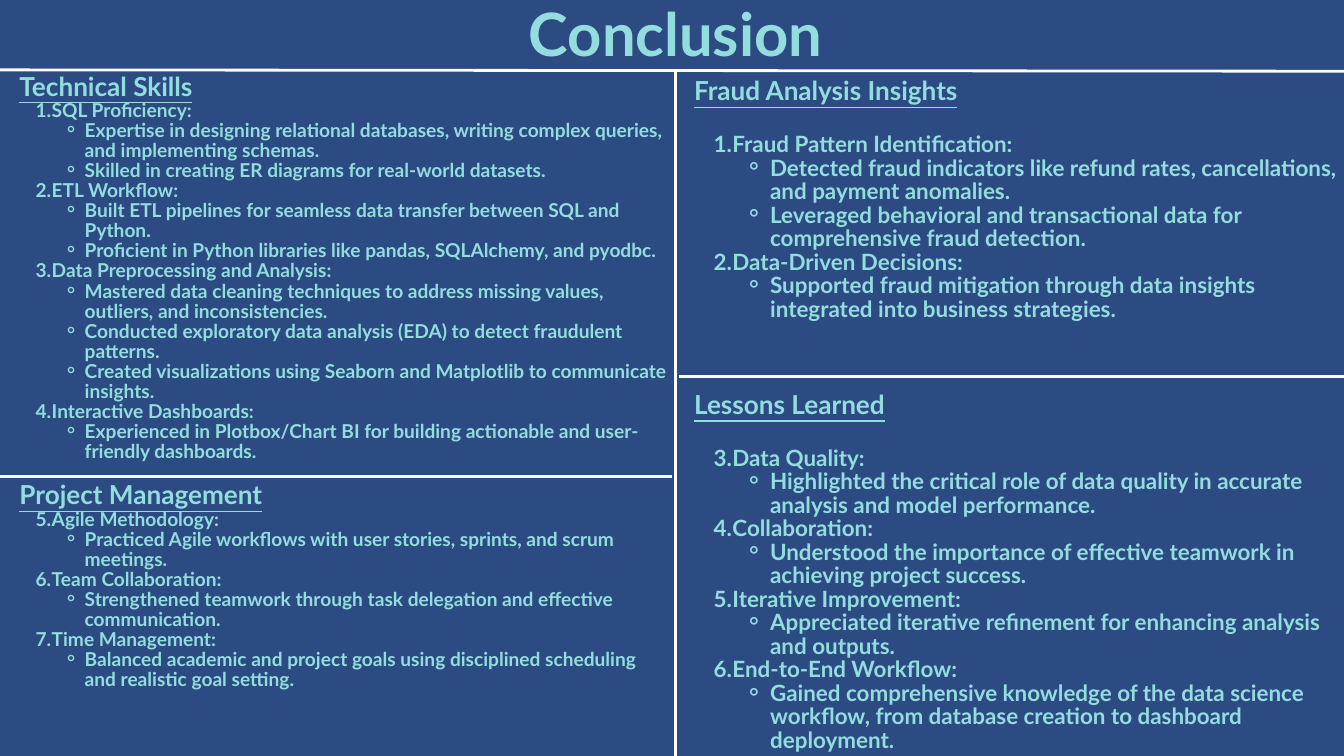
"""Build the Conclusion slide: two columns of numbered takeaways split by rules."""
from lxml.etree import SubElement
from pptx import Presentation
from pptx.dml.color import RGBColor
from pptx.enum.shapes import MSO_CONNECTOR
from pptx.enum.text import MSO_AUTO_SIZE, PP_ALIGN
from pptx.oxml.ns import qn
from pptx.util import Inches, Pt

THEME = {
    "bg": RGBColor(0x2B, 0x4B, 0x82),
    "text": RGBColor(0x94, 0xDD, 0xDE),
    "rule": RGBColor(0xFF, 0xFF, 0xFF),
    "font": "Lato",
    "title": (64, 67.2),
    "heading": (28, 29.4),
    "left": (20.5, 21.5),
    "right": (24, 25.2),
    "rule_width": 3,
}

TITLE = "Conclusion"

COLUMNS = [
    {
        "box": (0.29, 1.1, 9.71, 9.57), "body": "left",
        "number_indent": (0.48, -0.24), "bullet_indent": (0.97, -0.32),
        "section_gap": 21.5, "heading_gap": 0,
        "sections": [
            ("Technical Skills", [
                ("SQL Proficiency:", [
                    "Expertise in designing relational databases, writing complex queries, and implementing schemas.",
                    "Skilled in creating ER diagrams for real-world datasets."]),
                ("ETL Workflow:", [
                    "Built ETL pipelines for seamless data transfer between SQL and Python.",
                    "Proficient in Python libraries like pandas, SQLAlchemy, and pyodbc."]),
                ("Data Preprocessing and Analysis:", [
                    "Mastered data cleaning techniques to address missing values, outliers, and inconsistencies.",
                    "Conducted exploratory data analysis (EDA) to detect fraudulent patterns.",
                    "Created visualizations using Seaborn and Matplotlib to communicate insights."]),
                ("Interactive Dashboards:", [
                    "Experienced in Plotbox/Chart BI for building actionable and user-friendly dashboards."]),
            ]),
            ("Project Management", [
                ("Agile Methodology:", [
                    "Practiced Agile workflows with user stories, sprints, and scrum meetings."]),
                ("Team Collaboration:", [
                    "Strengthened teamwork through task delegation and effective communication."]),
                ("Time Management:", [
                    "Balanced academic and project goals using disciplined scheduling and realistic goal setting."]),
            ]),
        ],
    },
    {
        "box": (10.33, 1.17, 9.69, 10.92), "body": "right",
        "number_indent": (0.57, -0.28), "bullet_indent": (1.13, -0.38),
        "section_gap": 75.6, "heading_gap": 29.4,
        "sections": [
            ("Fraud Analysis Insights", [
                ("Fraud Pattern Identification:", [
                    "Detected fraud indicators like refund rates, cancellations, and payment anomalies.",
                    "Leveraged behavioral and transactional data for comprehensive fraud detection."]),
                ("Data-Driven Decisions:", [
                    "Supported fraud mitigation through data insights integrated into business strategies."]),
            ]),
            ("Lessons Learned", [
                ("Data Quality:", [
                    "Highlighted the critical role of data quality in accurate analysis and model performance."]),
                ("Collaboration:", [
                    "Understood the importance of effective teamwork in achieving project success."]),
                ("Iterative Improvement:", [
                    "Appreciated iterative refinement for enhancing analysis and outputs."]),
                ("End-to-End Workflow:", [
                    "Gained comprehensive knowledge of the data science workflow, "
                    "from database creation to dashboard deployment."]),
            ]),
        ],
    },
]

RULES = [
    (10.05, 1.06, 10.05, 11.25),
    (0, 1.04, 20.02, 1.06),
    (0, 7.09, 10, 7.09),
    (10.1, 5.6, 20.1, 5.6),
]


def add_box(s, box):
    tf = s.shapes.add_textbox(*map(Inches, box)).text_frame
    tf.margin_left = tf.margin_top = tf.margin_right = tf.margin_bottom = 0
    tf.word_wrap = True
    tf.auto_size = MSO_AUTO_SIZE.SHAPE_TO_FIT_TEXT
    return tf


def write(p, text, style, underline=False, before=0):
    size, leading = THEME[style]
    p.text = text
    p.line_spacing = Pt(leading)
    if before:
        p.space_before = Pt(before)
    font = p.runs[0].font
    font.name, font.size, font.bold = THEME["font"], Pt(size), True
    font.color.rgb = THEME["text"]
    if underline:
        font.underline = True


def add_marker(p, level, indent, tag, **attrs):
    p.level = level
    pPr = p._p.get_or_add_pPr()
    for key, value in zip(("marL", "indent"), indent):
        pPr.set(key, str(Inches(value)))
    SubElement(pPr, qn("a:buFont"), typeface="Arial")
    SubElement(pPr, qn(tag), **attrs)


def add_column(s, col):
    tf = add_box(s, col["box"])
    start = 1
    for i, (heading, topics) in enumerate(col["sections"]):
        p = tf.add_paragraph() if i else tf.paragraphs[0]
        write(p, heading, "heading", True, col["section_gap"] if i else 0)
        for j, (topic, points) in enumerate(topics):
            p = tf.add_paragraph()
            add_marker(p, 1, col["number_indent"], "a:buAutoNum",
                       type="arabicPeriod", startAt=str(start))
            write(p, topic, col["body"], before=0 if j else col["heading_gap"])
            for point in points:
                p = tf.add_paragraph()
                add_marker(p, 2, col["bullet_indent"], "a:buChar", char="⚬")
                write(p, point, col["body"])
        start += len(topics)


def add_rule(s, ends):
    line = s.shapes.add_connector(MSO_CONNECTOR.STRAIGHT, *map(Inches, ends))
    line.line.color.rgb = THEME["rule"]
    line.line.width = Pt(THEME["rule_width"])
    SubElement(line._element.spPr, qn("a:effectLst"))


def main():
    prs = Presentation()
    prs.slide_width, prs.slide_height = Inches(20), Inches(11.25)
    s = prs.slides.add_slide(prs.slide_layouts[6])
    s.background.fill.solid()
    s.background.fill.fore_color.rgb = THEME["bg"]

    p = add_box(s, (1.23, 0.09, 17.65, 0.97)).paragraphs[0]
    write(p, TITLE, "title")
    p.alignment = PP_ALIGN.CENTER

    for col in COLUMNS:
        add_column(s, col)
    for ends in RULES:
        add_rule(s, ends)
    prs.save("out.pptx")


if __name__ == "__main__":
    main()
